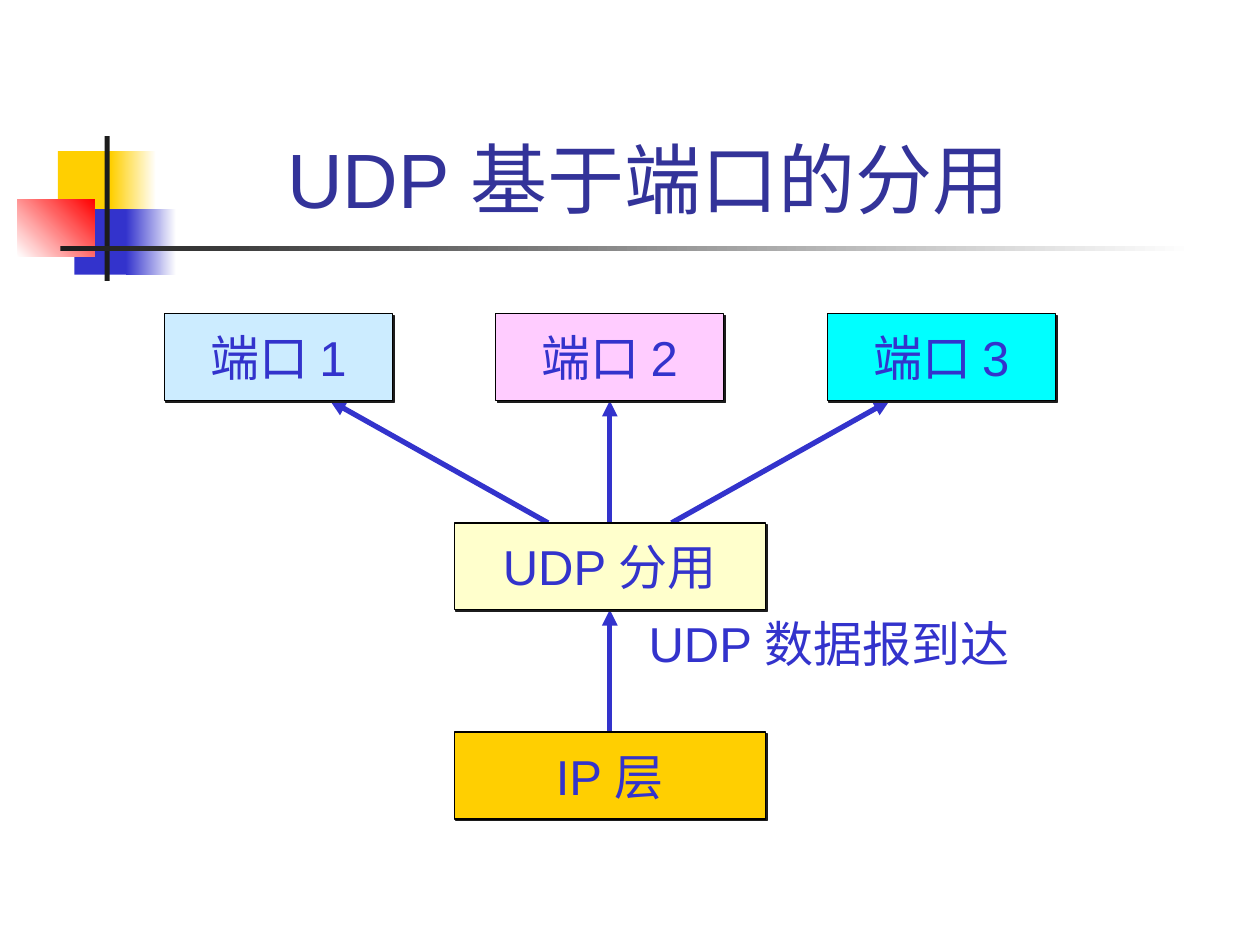
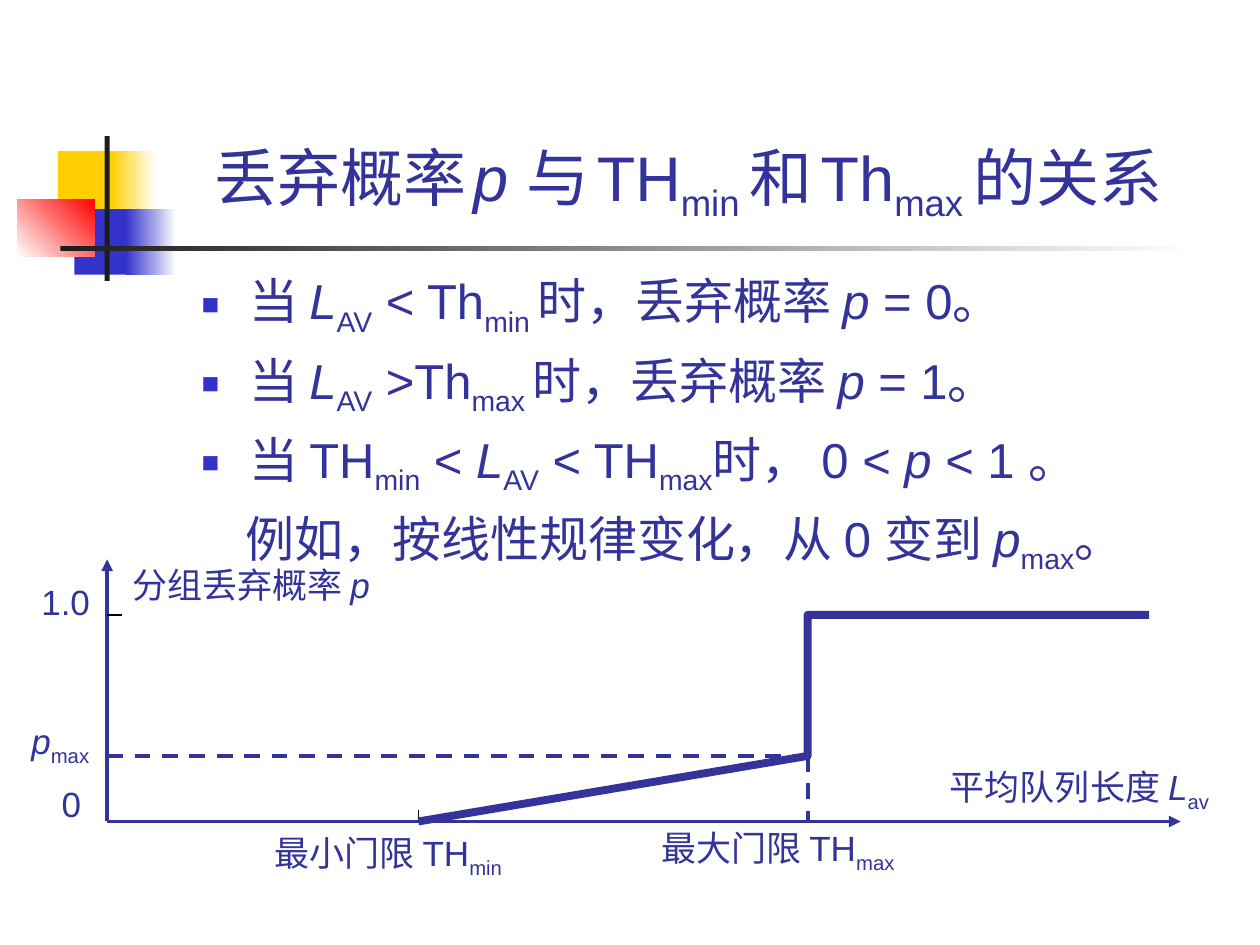
from lxml import etree
from pptx import Presentation
from pptx import util as u
from pptx.dml.color import RGBColor
from pptx.enum import dml, shapes, text
from pptx.oxml import ns

FONT = "Arial"
NAVY, BLUE, YELLOW, BLACK, WHITE, INK = "333399", "3333CC", "FFCF01", "000000", "FFFFFF", "1C1C1C"
ITALIC, SUB = "italic", "sub"

# Master decoration: left, top, width, height, colours, gradient angle
DECORATION = [
    (0.46, 1.2, 0.48, 0.52, [YELLOW], 0),
    (0.88, 1.2, 0.36, 0.52, [YELLOW, WHITE], 0),
    (0.59, 1.66, 0.46, 0.52, [BLUE], 0),
    (1, 1.66, 0.4, 0.52, [BLUE, WHITE], 0),
    (0.14, 1.58, 0.61, 0.46, [WHITE, "FF0000"], 45),
    (0.83, 1.08, 0.04, 1.15, [INK], 0),
    (0.48, 1.95, 9, 0.04, [INK, WHITE], 0),
]

# Text is a list of runs: a string, or (string, ITALIC / SUB / size in points)
DEMUX_TITLE = ["UDP 基于端口的分用 "]
PORTS = [("端口 1", "CCECFF"), ("端口 2", "FFCCFF"), ("端口 3", "00FFFF")]
LAYERS = [("UDP 分用", "FFFFCC"), ("IP 层", YELLOW)]
ARRIVAL = ["UDP 数据报到达"]

DROP_TITLE = ["丢弃概率", (" ", 18), ("p ", ITALIC), "与", (" ", 20), "TH", ("min ", SUB),
              "和", (" ", 20), "Th", ("max ", SUB), "的关系 "]
RULES = [
    ["当 ", ("L", ITALIC), ("AV", SUB), " < Th", ("min ", SUB), "时，丢弃概率 ", ("p", ITALIC), " = 0。"],
    ["当 ", ("L", ITALIC), ("AV", SUB), " >Th", ("max ", SUB), "时，丢弃概率 ", ("p", ITALIC), " = 1。"],
    ["当 TH", ("min", SUB), " < ", ("L", ITALIC), ("AV", SUB), " < TH", ("max", SUB),
     "时， 0 < ", ("p ", ITALIC), "< 1 。"],
]
EXAMPLE = ["例如，按线性规律变化，从 0 变到 ", ("p", ITALIC), ("max", SUB), "。"]
# Left, top, width, height, runs
GRAPH_LABELS = [
    (2.08, 6.55, 2.3, 0.48, ["最小门限 TH", ("min", SUB)]),
    (5.15, 6.51, 2.3, 0.48, ["最大门限 TH", ("max", SUB)]),
    (7.44, 6.03, 2.55, 0.48, ["平均队列长度 ", ("L", ITALIC), ("av", SUB)]),
    (0.95, 4.42, 2.4, 0.44, ["分组丢弃概率 ", ("p", ITALIC)]),
    (0.23, 4.56, 0.8, 0.44, ["1.0"]),
    (0.39, 6.16, 0.5, 0.44, ["0"]),
    (0.15, 5.66, 0.85, 0.48, [("p", ITALIC), ("max", SUB)]),
]


def rgb(code):
    return RGBColor.from_string(code)


def inches(*values):
    return [u.Inches(value) for value in values]


def child(parent, tag, **attributes):
    return etree.SubElement(parent, ns.qn(tag), {key: str(value) for key, value in attributes.items()})


def write(para, runs, size, color):
    for item in runs:
        words, kind = item if isinstance(item, tuple) else (item, None)
        span = para.add_run()
        span.text = words
        font = span.font
        font.name, font.color.rgb = FONT, rgb(color)
        font.size = u.Pt(kind if isinstance(kind, int) else size)
        font.italic = kind == ITALIC
        if kind == SUB:
            font._element.set("baseline", "-25000")


def add_title(slide, runs, size, width):
    title = slide.shapes.title
    title.left, title.top, title.width, title.height = inches(1.26, 0.23, width, 1.6)
    frame = title.text_frame
    frame.vertical_anchor = text.MSO_ANCHOR.BOTTOM
    frame.auto_size = text.MSO_AUTO_SIZE.NONE
    frame.paragraphs[0].alignment = text.PP_ALIGN.CENTER
    write(frame.paragraphs[0], runs, size, NAVY)


def add_label(slide, at, runs, size, color):
    frame = slide.shapes.add_textbox(*inches(*at)).text_frame
    frame.word_wrap = True
    frame.auto_size = text.MSO_AUTO_SIZE.NONE
    write(frame.paragraphs[0], runs, size, color)


def add_line(slide, start, end, color=NAVY, weight=2.25, arrow=False, dashed=False):
    connector = slide.shapes.add_connector(shapes.MSO_CONNECTOR.STRAIGHT, *inches(*start, *end))
    connector.line.color.rgb = rgb(color)
    connector.line.width = u.Pt(weight)
    if dashed:
        connector.line.dash_style = dml.MSO_LINE.DASH
    if arrow:
        child(connector.line._get_or_add_ln(), "a:tailEnd", type="triangle")
    child(connector.element.spPr, "a:effectLst")


def decorate_master(deck, slide):
    """Draw the corner motif and rule, then move them to the slide master."""
    for *at, colors, angle in DECORATION:
        block = slide.shapes.add_shape(shapes.MSO_SHAPE.RECTANGLE, *inches(*at))
        block.shadow.inherit = False
        block.line.fill.background()
        if len(colors) == 1:
            block.fill.solid()
            block.fill.fore_color.rgb = rgb(colors[0])
        else:
            block.fill.gradient()
            block.fill.gradient_angle = angle
            for stop, color in zip(block.fill.gradient_stops, colors):
                stop.color.rgb = rgb(color)
        deck.slide_master.shapes.element.append(block.element)


def add_node(slide, center, top, width, height, label, fill):
    node = slide.shapes.add_shape(shapes.MSO_SHAPE.RECTANGLE,
                                  *inches(center - width / 2, top, width, height))
    node.fill.solid()
    node.fill.fore_color.rgb = rgb(fill)
    node.line.color.rgb = rgb(BLACK)
    node.line.width = u.Pt(0.75)
    node.shadow.inherit = False
    effects = node.element.spPr.find(ns.qn("a:effectLst"))
    shadow = child(effects, "a:outerShdw", blurRad=0, dist=u.Pt(1.4), dir=45 * 60000, algn="ctr", rotWithShape=0)
    child(shadow, "a:srgbClr", val=INK)
    frame = node.text_frame
    frame.word_wrap = False
    frame.vertical_anchor = text.MSO_ANCHOR.MIDDLE
    frame.paragraphs[0].alignment = text.PP_ALIGN.CENTER
    write(frame.paragraphs[0], [label], 28, BLUE)


def build_demux(slide):
    add_title(slide, DEMUX_TITLE, 44, 7.91)
    center, height, column = 4.84, 0.69, 2.63
    port_top, udp_top, ip_top = [2.49 + 1.66 * row for row in range(3)]
    add_line(slide, (center, ip_top), (center, udp_top + height), BLUE, 3, arrow=True)
    for side, (label, fill) in zip((-1, 0, 1), PORTS):
        add_line(slide, (center + side * 0.49, udp_top), (center + side * 2.22, port_top + height),
                 BLUE, 3, arrow=True)
        add_node(slide, center + side * column, port_top, 1.81, height, label, fill)
    for top, (label, fill) in zip((udp_top, ip_top), LAYERS):
        add_node(slide, center, top, 2.47, height, label, fill)
    add_label(slide, (5.05, 4.82, 3.4, 0.57), ARRIVAL, 28, BLUE)


def add_rules(slide):
    body = slide.placeholders[1]
    body.left, body.top, body.width, body.height = inches(1.5, 2.1, 8.5, 2.6)
    frame = body.text_frame
    frame.auto_size = text.MSO_AUTO_SIZE.NONE
    for index, runs in enumerate(RULES + [EXAMPLE]):
        para = frame.add_paragraph() if index else frame.paragraphs[0]
        para.space_before = u.Pt(7 if index else 0)
        props = para._p.get_or_add_pPr()
        bulleted = runs is not EXAMPLE
        props.set("marL", str(u.Inches(0.38 if bulleted else 0.35)))
        props.set("indent", str(u.Inches(-0.38 if bulleted else 0)))
        if bulleted:
            child(child(props, "a:buClr"), "a:srgbClr", val=BLUE)
            child(props, "a:buSzPct", val=60000)
            child(props, "a:buFont", typeface=FONT)
            child(props, "a:buChar", char="■")
        else:
            child(props, "a:buNone")
        write(para, runs, 28, NAVY)


def add_drop_graph(slide):
    left, bottom, right, top = 0.85, 6.52, 9.37, 4.44
    th_min, th_max, curve_end = 3.32, 6.41, 9.12
    p_max, p_one = 6, 4.88
    add_line(slide, (left, bottom), (right, bottom), arrow=True)
    add_line(slide, (left, bottom), (left, top), arrow=True)
    add_line(slide, (th_max, p_max), (th_max, bottom), dashed=True)
    add_line(slide, (left, p_max), (th_max, p_max), dashed=True)
    add_line(slide, (th_min, bottom - 0.09), (th_min, bottom), BLACK, 0.75)
    add_line(slide, (left, p_one), (left + 0.12, p_one), BLACK, 0.75)

    start, *corners = [inches(*point) for point in
                       ((th_min, bottom), (th_max, p_max), (th_max, p_one), (curve_end, p_one))]
    builder = slide.shapes.build_freeform(*start)
    builder.add_line_segments(corners, close=False)
    curve = builder.convert_to_shape()
    curve.fill.background()
    curve.line.color.rgb = rgb(NAVY)
    curve.line.width = u.Pt(4.5)
    curve.shadow.inherit = False
    for *at, runs in GRAPH_LABELS:
        add_label(slide, at, runs, 20, NAVY)


def build_drop(slide):
    add_title(slide, DROP_TITLE, 36, 8.52)
    add_rules(slide)
    add_drop_graph(slide)


def main():
    deck = Presentation()
    deck.slide_width, deck.slide_height = inches(10, 7.5)
    content_layout, title_only = deck.slide_layouts[1], deck.slide_layouts[5]
    demux = deck.slides.add_slide(title_only)
    decorate_master(deck, demux)
    build_demux(demux)
    build_drop(deck.slides.add_slide(content_layout))
    deck.save("out.pptx")


if __name__ == "__main__":
    main()
